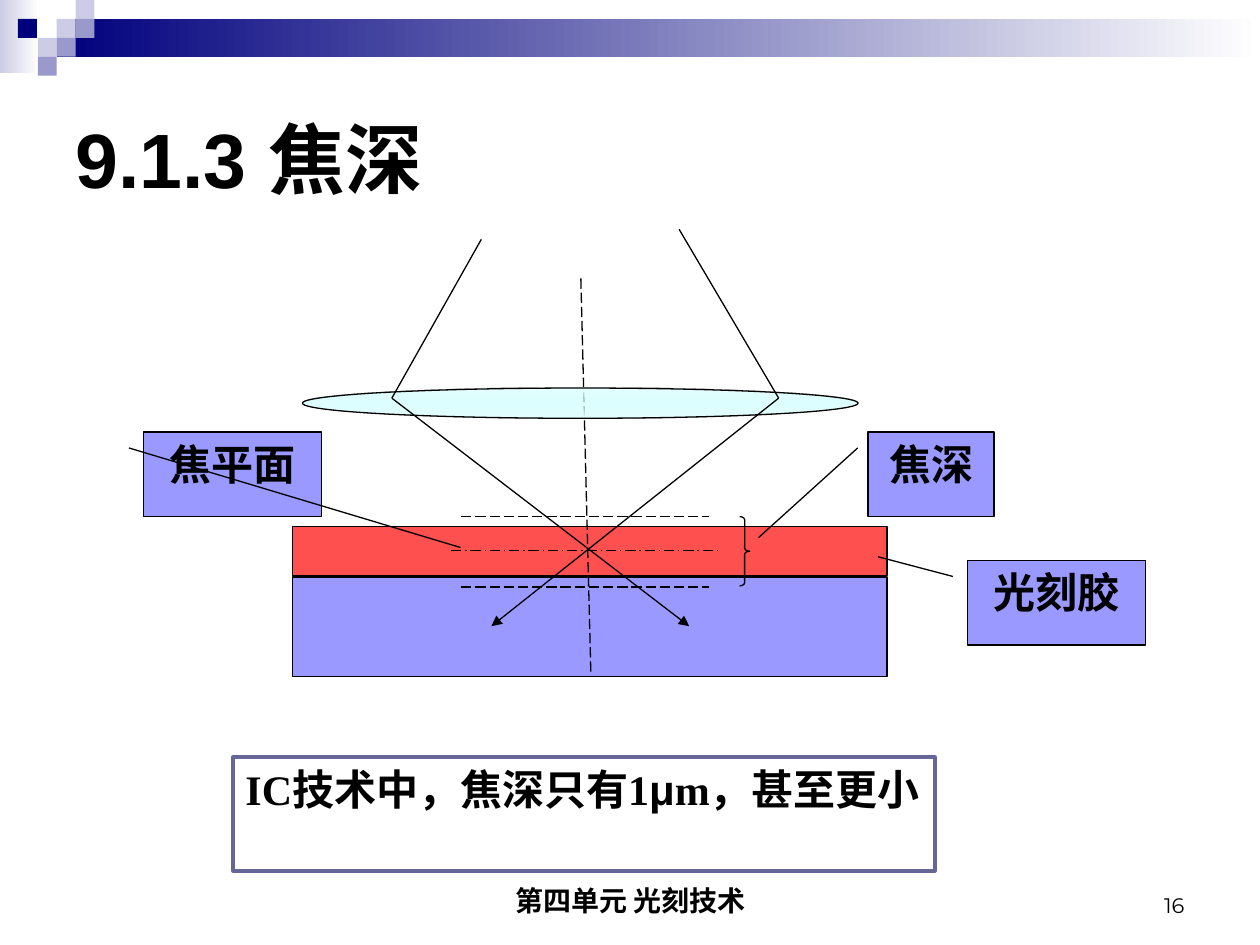
"""Build the depth-of-focus slide with its lens and photoresist diagram."""
import pptx
import pptx.dml.color
import pptx.enum.dml
import pptx.enum.shapes
import pptx.enum.text
import pptx.oxml.ns
import pptx.util
from lxml import etree

Inches, Pt = pptx.util.Inches, pptx.util.Pt
RGBColor = pptx.dml.color.RGBColor
SHAPE = pptx.enum.shapes.MSO_SHAPE
ALIGN = pptx.enum.text.PP_ALIGN
ANCHOR = pptx.enum.text.MSO_ANCHOR
DASH = pptx.enum.dml.MSO_LINE.LONG_DASH
DASH_DOT = pptx.enum.dml.MSO_LINE.LONG_DASH_DOT
qn = pptx.oxml.ns.qn

BLACK = RGBColor(0x00, 0x00, 0x00)
WHITE = RGBColor(0xFF, 0xFF, 0xFF)
NAVY = RGBColor(0x00, 0x00, 0x7D)
PALE = RGBColor(0xCC, 0xCC, 0xE6)
LILAC = RGBColor(0x99, 0x99, 0xCC)
VIOLET = RGBColor(0x99, 0x99, 0xFF)
RED = RGBColor(0xFF, 0x50, 0x50)
FRAME = RGBColor(0x66, 0x66, 0x99)
ICE = RGBColor(0xE8, 0xFF, 0xFF)
CYAN = RGBColor(0xCC, 0xFF, 0xFF)
CJK, SERIF = "Noto Sans CJK SC", "Times New Roman"

TITLE = "9.1.3 焦深"
FOOTER = "第四单元 光刻技术"
PAGE = "16"
NOTE = [("IC技术中，焦深只有1", SERIF), ("μ", "Arial"), ("m，甚至更小", SERIF)]

TILE = 0.15
BANDS = [((0, 0, 0.31, 0.58), PALE), ((0.45, 0.15, 9.55, 0.3), NAVY)]
TILES = [(3, 1, PALE), (4, 0, PALE), (4, 1, LILAC), (2, 2, PALE),
         (0.95, 1, NAVY), (3, 2, LILAC), (2, 3, LILAC)]
LAYERS = [((2.32, 4.18, 4.72, 0.39), RED), ((2.32, 4.58, 4.72, 0.79), VIOLET)]
AXIS = ((4.61, 2.21), (4.69, 5.36))
LENS = (2.4, 3.08, 4.41, 0.24)
RAYS = [[(3.82, 1.9), (3.11, 3.16), (5.47, 4.97)],
        [(5.39, 1.82), (6.18, 3.16), (3.9, 4.97)]]
PLANES = [(3.58, 5.71, 4.37, DASH_DOT), (3.66, 5.63, 4.1, DASH), (3.66, 5.63, 4.66, DASH)]
BRACE = (5.87, 4.1, 0.08, 0.55)
CALLOUTS = [("焦深", (6.89, 3.43, 1, 0.67), (1.25, -0.87)),
            ("焦平面", (1.14, 3.43, 1.41, 0.67), (1.367, 1.784)),
            ("光刻胶", (7.68, 4.45, 1.41, 0.67), (-0.047, -0.505))]


def write(tf, text, size=24, font=SERIF, bold=True, align=ALIGN.LEFT, anchor=ANCHOR.TOP):
    """Fill a text frame with one paragraph of a string or of (text, font) runs."""
    tf.word_wrap = True
    tf.vertical_anchor = anchor
    p = tf.paragraphs[0]
    p.alignment = align
    for part, face in [(text, font)] if isinstance(text, str) else text:
        r = p.add_run()
        r.text = part
        r.font.size, r.font.bold, r.font.name = Pt(size), bold, face
        r.font.color.rgb = BLACK
        etree.SubElement(r._r.get_or_add_rPr(), qn("a:ea"), typeface=CJK)


def add_shape(s, kind, box, fill=None, line=None, width=0.75):
    sp = s.shapes.add_shape(kind, *map(Inches, box))
    sp.shadow.inherit = False
    if fill is None:
        sp.fill.background()
    else:
        sp.fill.solid()
        sp.fill.fore_color.rgb = fill
    if line is None:
        sp.line.fill.background()
    else:
        sp.line.color.rgb = line
        sp.line.width = Pt(width)
    return sp


def set_gradient(sp, stops, angle=0):
    """Apply (percent, colour, opacity percent) stops to a shape."""
    sp.fill.gradient()
    sp.fill.gradient_angle = angle
    stop_list = sp._element.spPr.find(qn("a:gradFill")).find(qn("a:gsLst"))
    stop_list.clear()
    for pos, color, opacity in stops:
        gs = etree.SubElement(stop_list, qn("a:gs"), pos=str(pos * 1000))
        clr = etree.SubElement(gs, qn("a:srgbClr"), val=str(color))
        if opacity < 100:
            etree.SubElement(clr, qn("a:alpha"), val=str(opacity * 1000))


def add_line(s, start, end, dash=None, arrow=False):
    ln = s.shapes.add_connector(pptx.enum.shapes.MSO_CONNECTOR.STRAIGHT,
                                *map(Inches, (*start, *end)))
    ln.line.color.rgb = BLACK
    ln.line.width = Pt(0.75)
    if dash:
        ln.line.dash_style = dash
    if arrow:
        etree.SubElement(ln.line._get_or_add_ln(), qn("a:tailEnd"), type="triangle")
    etree.SubElement(ln._element.spPr, qn("a:effectLst"))


def add_header(s):
    for box, color in BANDS:
        set_gradient(add_shape(s, SHAPE.RECTANGLE, box), [(0, color, 100), (100, WHITE, 100)])
    for col, row, color in TILES:
        add_shape(s, SHAPE.RECTANGLE, (col * TILE, row * TILE, TILE, TILE), color)


def add_diagram(s):
    for box, color in LAYERS:
        add_shape(s, SHAPE.RECTANGLE, box, color, BLACK)
    add_line(s, *AXIS, dash=DASH)
    lens = add_shape(s, SHAPE.OVAL, LENS, CYAN, BLACK)
    set_gradient(lens, [(0, ICE, 100), (50, CYAN, 65), (100, ICE, 100)], 90)
    for source, bend, target in RAYS:
        add_line(s, source, bend)
        add_line(s, bend, target, arrow=True)
    for left, right, y, dash in PLANES:
        add_line(s, (left, y), (right, y), dash)
    brace = add_shape(s, SHAPE.RIGHT_BRACE, BRACE, line=BLACK)
    brace.adjustments[0] = 0.31
    for text, box, tip in CALLOUTS:
        sp = add_shape(s, SHAPE.LINE_CALLOUT_1, box, VIOLET, BLACK)
        for i, value in enumerate((0.188, -0.083, *tip)):
            sp.adjustments[i] = value
        write(sp.text_frame, text, align=ALIGN.CENTER)


def main():
    prs = pptx.Presentation()
    prs.slide_width, prs.slide_height = Inches(10), Inches(7.5)
    s = prs.slides.add_slide(prs.slide_layouts[5])
    add_header(s)
    title = s.shapes.title
    title.left, title.top, title.width, title.height = map(Inches, (0.5, 0.5, 9, 1.5))
    write(title.text_frame, TITLE, size=44, font="Arial", anchor=ANCHOR.MIDDLE)
    add_diagram(s)
    note = add_shape(s, SHAPE.RECTANGLE, (1.85, 6.01, 5.57, 0.9), line=FRAME, width=2.25)
    write(note.text_frame, NOTE)
    footer = s.shapes.add_textbox(*map(Inches, (3.42, 6.83, 3.17, 0.5)))
    write(footer.text_frame, FOOTER, size=16, font=CJK, align=ALIGN.CENTER, anchor=ANCHOR.BOTTOM)
    page = s.shapes.add_textbox(*map(Inches, (7.17, 6.83, 2.33, 0.5)))
    write(page.text_frame, PAGE, size=12, font="Montserrat", bold=False,
          align=ALIGN.RIGHT, anchor=ANCHOR.BOTTOM)
    prs.save("out.pptx")


if __name__ == "__main__":
    main()
